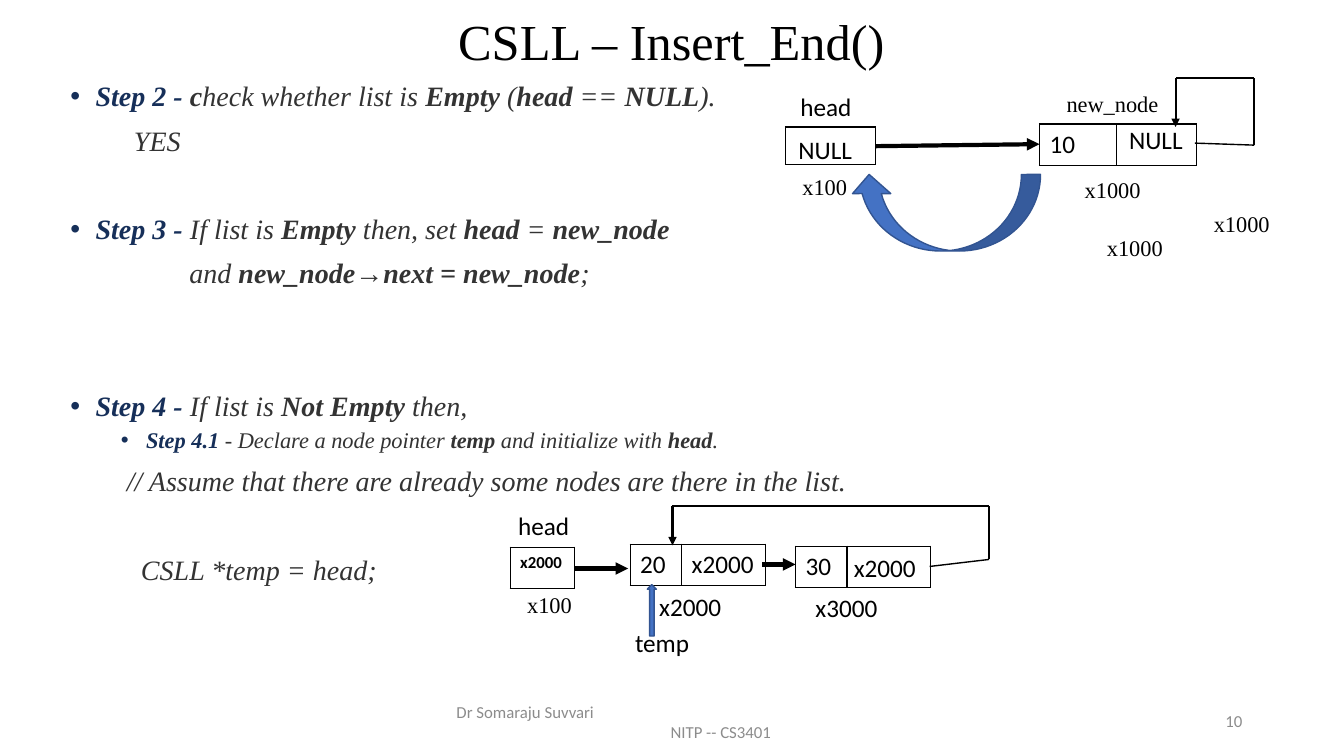
from itertools import pairwise

from lxml import etree
from pptx import Presentation
from pptx.dml.color import RGBColor
from pptx.enum.shapes import MSO_CONNECTOR, MSO_SHAPE
from pptx.enum.text import MSO_ANCHOR, PP_ALIGN
from pptx.oxml import parse_xml
from pptx.oxml.ns import nsdecls, qn
from pptx.util import Inches, Pt

LEFT, CENTER, RIGHT = PP_ALIGN.LEFT, PP_ALIGN.CENTER, PP_ALIGN.RIGHT
TOP, MIDDLE = MSO_ANCHOR.TOP, MSO_ANCHOR.MIDDLE
STRAIGHT = MSO_CONNECTOR.STRAIGHT
UP_ARROW, CURVED_ARROW = MSO_SHAPE.UP_ARROW, MSO_SHAPE.CURVED_DOWN_ARROW
SERIF, SANS = "Times New Roman", "Calibri"
COLORS = {"black": "000000", "step": "162F59", "body": "333333",
          "footer": "8C8C8C", "arrow": "4472C4", "arrow_edge": "325491"}


def rgb(name):
    return RGBColor.from_string(COLORS[name])


class Page:
    def __init__(self, deck):
        self.shapes = deck.slides.add_slide(deck.slide_layouts[6]).shapes

    def span(self, para, text, size, font, color="black", bold=False, italic=False):
        run = para.add_run()
        run.text = text
        run.font.size, run.font.name = Pt(size), font
        run.font.bold, run.font.italic = bold, italic
        run.font.color.rgb = rgb(color)

    def frame(self, left, top, width, height, anchor=TOP):
        box = self.shapes.add_textbox(*map(Inches, (left, top, width, height)))
        box.text_frame.word_wrap = True
        box.text_frame.vertical_anchor = anchor
        return box.text_frame

    def label(self, text, left, top, width, size=18, font=SANS, color="black",
              height=0.4, align=LEFT, anchor=TOP):
        para = self.frame(left, top, width, height, anchor).paragraphs[0]
        para.alignment = align
        self.span(para, text, size, font, color)

    def steps(self, left, top, width, height, lines):
        frame = self.frame(left, top, width, height)
        for index, (size, before, indent, bullet, spans) in enumerate(lines):
            para = frame.paragraphs[0] if index == 0 else frame.add_paragraph()
            para.line_spacing = 0.9
            para.space_before = Pt(before)
            props = para._p.get_or_add_pPr()
            props.set("marL", str(Inches(indent)))
            props.set("indent", str(Inches(-0.25 if bullet else 0)))
            if bullet:
                color = etree.SubElement(props, qn("a:buClr"))
                etree.SubElement(color, qn("a:srgbClr"), val=COLORS["step"])
                etree.SubElement(props, qn("a:buFont"), typeface="Arial")
                etree.SubElement(props, qn("a:buChar"), char="•")
            for text, bold, color in spans:
                self.span(para, text, size, SERIF, color, bold, True)

    def node(self, left, top, widths, texts, height=0.41, size=18, bold=False):
        table = self.shapes.add_table(1, len(widths), Inches(left), Inches(top),
                                      Inches(sum(widths)), Inches(height)).table
        table.first_row = table.horz_banding = False
        table.rows[0].height = Inches(height)
        for column, (width, text) in enumerate(zip(widths, texts)):
            table.columns[column].width = Inches(width)
            cell = table.cell(0, column)
            if text:
                self.span(cell.text_frame.paragraphs[0], text, size, SANS, bold=bold)
            else:
                cell.margin_top = cell.margin_bottom = 0
            props = cell._tc.get_or_add_tcPr()
            for side in "LRTB":
                props.append(parse_xml(
                    f'<a:ln{side} {nsdecls("a")} w="12700"><a:solidFill>'
                    f'<a:srgbClr val="{COLORS["black"]}"/></a:solidFill></a:ln{side}>'))
            cell.fill.background()

    def line(self, start, end, width, arrow=False):
        link = self.shapes.add_connector(STRAIGHT, *map(Inches, (*start, *end)))
        link.line.color.rgb = rgb("black")
        link.line.width = Pt(width)
        if arrow:
            etree.SubElement(link.line._get_or_add_ln(), qn("a:tailEnd"), type="triangle")
        etree.SubElement(link._element.spPr, qn("a:effectLst"))

    def loop(self, start, *corners):
        self.line(start, corners[0], 1)
        for begin, end in pairwise(corners):
            self.line(begin, end, 1.5, end == corners[-1])

    def block_arrow(self, kind, left, top, width, height, rotation=0):
        shape = self.shapes.add_shape(kind, *map(Inches, (left, top, width, height)))
        shape.shadow.inherit = False
        shape.rotation = rotation
        shape.fill.solid()
        shape.fill.fore_color.rgb = rgb("arrow")
        shape.line.color.rgb = rgb("arrow_edge")
        shape.line.width = Pt(1)


def step(text):
    return text, True, "step"


def plain(text):
    return text, False, "body"


def strong(text):
    return text, True, "body"


STEPS = [
    (20, 0, 0.25, True, [
        step("Step 2 - "), strong("c"), plain("heck whether list is "), strong("Empty"),
        plain(" ("), strong("head"), plain(" == "), strong("NULL"), plain(").")]),
    (20, 10, 0.63, False, [plain("YES")]),
    (20, 41.6, 0.25, True, [
        step("Step 3 - "), plain("If list is "), strong("Empty"), plain(" then, set "),
        strong("head"), plain(" = "), strong("new_node")]),
    (20, 10, 1.18, False, [
        plain("and "), strong("new_node→next = new_node"), plain(";")]),
    (20, 73.2, 0.25, True, [
        step("Step 4 - "), plain("If list is "), strong("Not Empty"), plain(" then,")]),
    (16, 5, 0.75, True, [
        step("Step 4.1 "), plain("- Declare a node pointer "), strong("temp"),
        plain(" and initialize with "), strong("head"), plain(".")]),
    (20, 10, 0.56, False, [
        plain("// Assume that there are already some nodes are there in the list.")]),
    (20, 41.6, 0.7, False, [plain("CSLL *temp = head;")]),
]


def main():
    deck = Presentation()
    deck.slide_width, deck.slide_height = Inches(13.33), Inches(7.5)
    page = Page(deck)

    page.label("CSLL – Insert_End()", 0.91, 0.15, 11.5, 36, SERIF,
               height=0.51, align=CENTER, anchor=MIDDLE)
    page.steps(0.6, 0.77, 12.11, 5.99, STEPS)
    for text, left, top, width, align in [
            ("Dr Somaraju Suvvari", 4.21, 6.86, 2, CENTER),
            ("NITP -- CS3401", 6.15, 7.06, 2, CENTER),
            ("10", 9.42, 6.95, 3, RIGHT)]:
        page.label(text, left, top, width, 12, SANS, "footer", align=align, anchor=MIDDLE)

    page.node(7.79, 1.26, [0.89], [""], height=0.37)
    page.node(10.31, 1.23, [0.76, 0.8], ["10", ""])
    page.node(5.06, 5.43, [0.64], ["x2000"], size=12, bold=True)
    page.node(6.25, 5.4, [0.51, 0.83], ["20", "x2000"])
    page.node(7.89, 5.42, [0.51, 0.83], ["30", ""])

    page.line((8.69, 1.45), (10.31, 1.43), 3, True)
    page.line((5.7, 5.64), (6.23, 5.64), 3, True)
    page.line((7.56, 5.6), (7.89, 5.6), 3, True)
    page.block_arrow(UP_ARROW, 6.42, 5.8, 0.09, 0.51)
    page.block_arrow(CURVED_ARROW, 8.43, 1.73, 1.89, 0.76, 180)
    page.loop((11.85, 1.42), (12.44, 1.44), (12.44, 0.77), (11.66, 0.77), (11.66, 1.26))
    page.loop((9.22, 5.62), (9.81, 5.55), (9.81, 5.02), (6.67, 5.02), (6.67, 5.41))

    for text, left, top in [
            ("head", 7.84, 0.86), ("NULL", 7.82, 1.28), ("NULL", 11.1, 1.18),
            ("head", 5.04, 5.01), ("x2000", 6.44, 5.82), ("x3000", 7.99, 5.83),
            ("x2000", 8.37, 5.43), ("temp", 6.2, 6.17)]:
        page.label(text, left, top, 0.93)
    for text, left, top in [
            ("x100", 7.86, 1.67), ("x100", 5.13, 5.82), ("new_node", 10.48, 0.85),
            ("x1000", 10.66, 1.7), ("x1000", 10.88, 2.27), ("x1000", 11.94, 2.04)]:
        page.label(text, left, top, 1.13, 16, SERIF, height=0.37)

    deck.save("out.pptx")


if __name__ == "__main__":
    main()
